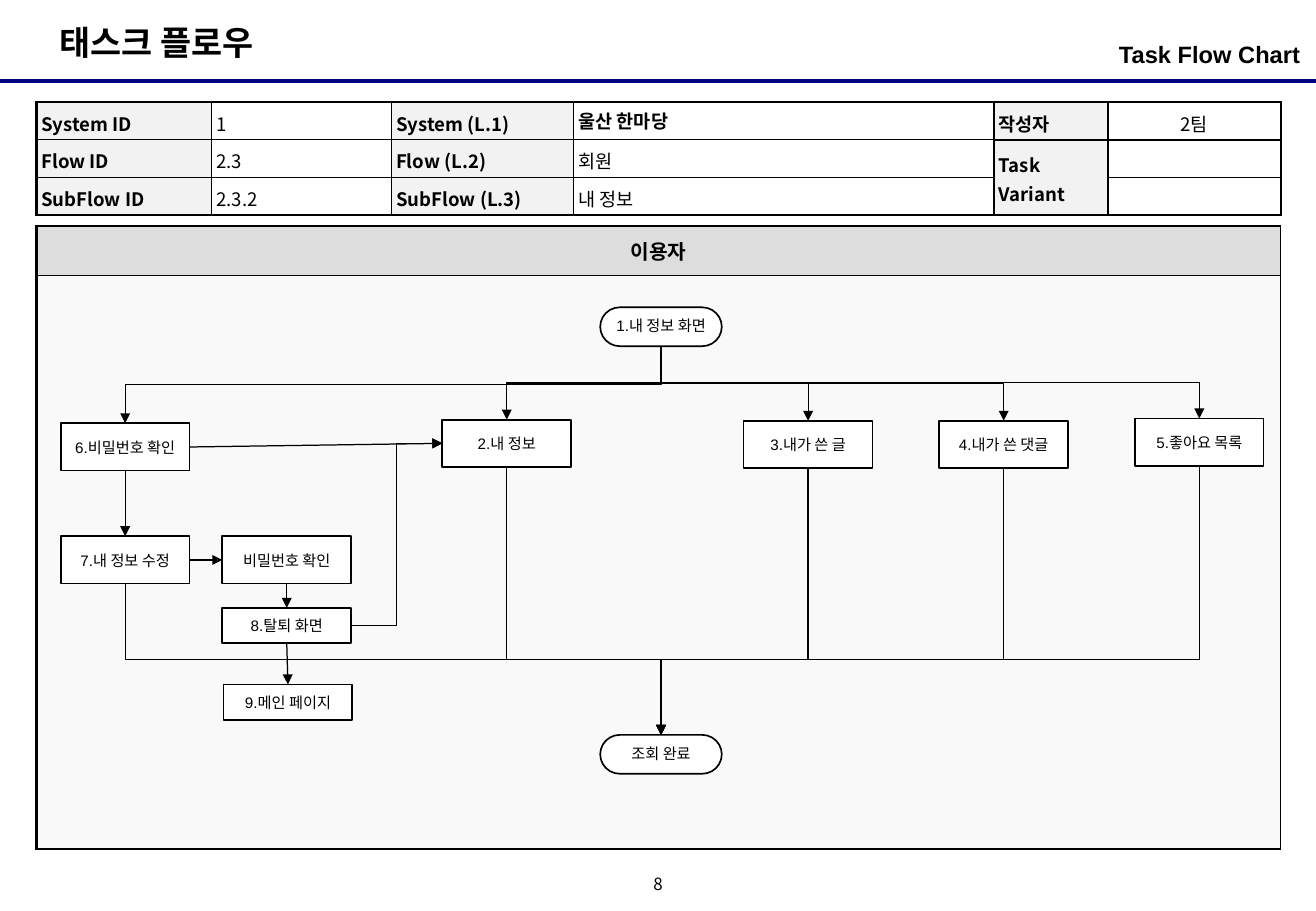
from lxml.etree import SubElement
from pptx import Presentation
from pptx.dml.color import RGBColor
from pptx.enum.shapes import MSO_CONNECTOR, MSO_SHAPE
from pptx.enum.text import MSO_ANCHOR, MSO_AUTO_SIZE, PP_ALIGN
from pptx.oxml.ns import qn
from pptx.util import Inches, Pt

WIDTH, HEIGHT = 10.83, 7.5
KOREAN, LATIN = "Noto Sans CJK KR", "Arial"
BLACK, WHITE, NAVY = "000000", "FFFFFF", "000080"
LABEL_FILL, LANE_HEAD, LANE_FILL = "F2F2F2", "DDDDDD", "F9F9F9"

TITLE, SUBTITLE, PAGE = "태스크 플로우", "Task Flow Chart", "8"
LANE = "이용자"
INFO_COLUMNS = [1.44, 1.48, 1.5, 3.46, 0.94, 1.42]
INFO = [
    ["System ID", "1", "System (L.1)", "울산 한마당", "작성자", "2팀"],
    ["Flow ID", "2.3", "Flow (L.2)", "회원", "Task Variant", ""],
    ["SubFlow ID", "2.3.2", "SubFlow (L.3)", "내 정보", "", ""],
]
LABEL_COLUMNS = (0, 2, 4)

TERMINAL, STEP, SHORT_STEP = (1, 0.32), (1.06, 0.39), (1.06, 0.29)
# step: text, size, centre x, centre y
STEPS = {
    "start": ("1.내 정보 화면", TERMINAL, 5.44, 2.69),
    "end": ("조회 완료", TERMINAL, 5.44, 6.21),
    "info": ("2.내 정보", STEP, 4.17, 3.65),
    "posts": ("3.내가 쓴 글", STEP, 6.65, 3.66),
    "comments": ("4.내가 쓴 댓글", STEP, 8.26, 3.66),
    "likes": ("5.좋아요 목록", STEP, 9.87, 3.64),
    "password": ("6.비밀번호 확인", STEP, 1.03, 3.68),
    "edit": ("7.내 정보 수정", STEP, 1.03, 4.61),
    "recheck": ("비밀번호 확인", STEP, 2.36, 4.61),
    "leave": ("8.탈퇴 화면", SHORT_STEP, 2.36, 5.15),
    "main": ("9.메인 페이지", SHORT_STEP, 2.37, 5.78),
}
TOP, LEFT, BOTTOM, RIGHT = range(4)
STRAIGHT = [
    ("password", BOTTOM, "edit", TOP),
    ("edit", RIGHT, "recheck", LEFT),
    ("recheck", BOTTOM, "leave", TOP),
    ("leave", BOTTOM, "main", TOP),
    ("password", RIGHT, "info", LEFT),
]
FROM_START = ["info", "posts", "comments", "likes", "password"]
TO_END = ["info", "posts", "comments", "likes", "edit"]
MERGE_Y = 5.43


def color(value):
    return RGBColor.from_string(value)


def box(left, top, width, height):
    return [Inches(v) for v in (left, top, width, height)]


def write(frame, text, size, font=KOREAN, bold=False, align=PP_ALIGN.LEFT, spacing=None):
    frame.text = text
    paragraph = frame.paragraphs[0]
    paragraph.alignment = align
    if spacing:
        paragraph.line_spacing = spacing
    for run in paragraph.runs:
        run.font.size, run.font.bold, run.font.name = Pt(size), bold, font
        run.font.color.rgb = color(BLACK)
        SubElement(run.font._element, qn("a:ea"), typeface=KOREAN)
    if not text:
        SubElement(paragraph._p, qn("a:endParaRPr"), sz=str(size * 100))


def set_margins(area, across, down):
    area.margin_left = area.margin_right = Inches(across)
    area.margin_top = area.margin_bottom = Inches(down)


def style_cell(cell, fill, left, top, right, bottom):
    """Fill a cell and set its four border widths in points."""
    cell.fill.solid()
    cell.fill.fore_color.rgb = color(fill)
    properties = cell._tc.get_or_add_tcPr()
    for place, (side, width) in enumerate(zip("LRTB", (left, right, top, bottom))):
        border = SubElement(properties, qn(f"a:ln{side}"), w=str(Pt(width)))
        SubElement(SubElement(border, qn("a:solidFill")), qn("a:srgbClr"), val=BLACK)
        properties.insert(place, border)


def add_grid(slide, left, top, columns, rows):
    frame = slide.shapes.add_table(len(rows), len(columns),
                                   *box(left, top, sum(columns), sum(rows)))
    table = frame.table
    table.first_row = table.horz_banding = False
    for column, width in zip(table.columns, columns):
        column.width = Inches(width)
    for row, height in zip(table.rows, rows):
        row.height = Inches(height)
    return table


def add_line(slide, kind, start, end, width=0.75, hue=BLACK, arrow=True):
    line = slide.shapes.add_connector(kind, *[Inches(v) for v in (*start, *end)])
    line.line.width = Pt(width)
    line.line.color.rgb = color(hue)
    if arrow:
        SubElement(line.line._get_or_add_ln(), qn("a:tailEnd"), type="triangle")
    SubElement(line._element.spPr, qn("a:effectLst"))
    return line


def add_drop(slide, start, end, bend):
    """Elbow arrow that goes down, across at the given share, and down again."""
    (x0, y0), (x1, y1) = start, end
    middle_x, middle_y = (x0 + x1) / 2, (y0 + y1) / 2
    half_w, half_h = (y1 - y0) / 2, abs(x1 - x0) / 2
    turn = -1 if x1 > x0 else 1
    line = add_line(slide, MSO_CONNECTOR.ELBOW,
                    (middle_x - turn * half_w, middle_y - half_h),
                    (middle_x + turn * half_w, middle_y + half_h))
    properties = line._element.spPr
    properties.find(qn("a:xfrm")).set("rot", str((90 if turn > 0 else 270) * 60000))
    guides = properties.find(qn("a:prstGeom")).find(qn("a:avLst"))
    SubElement(guides, qn("a:gd"), name="adj1", fmla=f"val {round(bend * 100000)}")


def side(step, place):
    _, (width, height), x, y = STEPS[step]
    return {TOP: (x, y - height / 2), BOTTOM: (x, y + height / 2),
            LEFT: (x - width / 2, y), RIGHT: (x + width / 2, y)}[place]


def add_heading(slide):
    title, subtitle = slide.placeholders
    for holder, place in ((title, (0.39, 0.13, 1.98, 0.44)),
                          (subtitle, (7.39, 0.28, 3.31, 0.39))):
        holder.left, holder.top, holder.width, holder.height = box(*place)
        holder.text_frame.auto_size = MSO_AUTO_SIZE.NONE
        holder.text_frame.vertical_anchor = MSO_ANCHOR.TOP
    write(title.text_frame, TITLE, 20, bold=True)
    set_margins(subtitle.text_frame, 0, 0.05)
    write(subtitle.text_frame, SUBTITLE, 14, LATIN, True, PP_ALIGN.RIGHT)
    paragraph = subtitle.text_frame.paragraphs[0]._p.get_or_add_pPr()
    paragraph.set("marL", "0")
    paragraph.set("indent", "0")
    SubElement(paragraph, qn("a:buNone"))
    add_line(slide, MSO_CONNECTOR.STRAIGHT, (0, 0.67), (WIDTH, 0.67), 2.25, NAVY, False)
    page = slide.shapes.add_textbox(*box(5.25, 7.17, 0.33, 0.25)).text_frame
    page.word_wrap, page.vertical_anchor = True, MSO_ANCHOR.MIDDLE
    set_margins(page, 0, 0)
    write(page, PAGE, 10, align=PP_ALIGN.CENTER, spacing=0.8)


def add_tables(slide):
    lane = add_grid(slide, 0.3, 1.86, [sum(INFO_COLUMNS)], [0.41, 4.72])
    head, body = lane.cell(0, 0), lane.cell(1, 0)
    head.vertical_anchor = MSO_ANCHOR.MIDDLE
    write(head.text_frame, LANE, 12, bold=True, align=PP_ALIGN.CENTER)
    style_cell(head, LANE_HEAD, 1.5, 1.5, 0.75, 0.75)
    style_cell(body, LANE_FILL, 1.5, 0.75, 0.75, 1.5)

    info = add_grid(slide, 0.3, 0.84, INFO_COLUMNS, [0.31] * len(INFO))
    last_row, last_column = len(INFO) - 1, len(INFO_COLUMNS) - 1
    for r, row in enumerate(INFO):
        for c, text in enumerate(row):
            cell = info.cell(r, c)
            label, system_name = c in LABEL_COLUMNS, (r, c) == (0, 3)
            set_margins(cell, 0.04, 0.04)
            cell.vertical_anchor = MSO_ANCHOR.MIDDLE if c >= 4 else MSO_ANCHOR.TOP
            write(cell.text_frame, text, 11, bold=label or system_name,
                  align=PP_ALIGN.CENTER if c == last_column else PP_ALIGN.LEFT,
                  spacing=None if system_name else 1.1)
            style_cell(cell, LABEL_FILL if label else WHITE,
                       1.5 if c == 0 else 1,
                       1.5 if r == 0 or (r == 1 and c >= 4) else 1,
                       1.5 if c == last_column else 1,
                       1.5 if r == last_row or (r == 0 and c >= 4) else 1)
    info.cell(1, 4).merge(info.cell(2, 4))


def add_flow(slide):
    drawn = {}
    for step, (text, size, x, y) in STEPS.items():
        kind = MSO_SHAPE.FLOWCHART_TERMINATOR if size == TERMINAL else MSO_SHAPE.RECTANGLE
        shape = slide.shapes.add_shape(kind, *box(x - size[0] / 2, y - size[1] / 2, *size))
        shape.shadow.inherit = False
        shape.fill.solid()
        shape.fill.fore_color.rgb = color(WHITE)
        shape.line.color.rgb = color(BLACK)
        shape.line.width = Pt(1)
        shape.text_frame.vertical_anchor = MSO_ANCHOR.MIDDLE
        set_margins(shape.text_frame, 0.02, 0)
        write(shape.text_frame, text, 9, LATIN, align=PP_ALIGN.CENTER,
              spacing=0.9 if size == TERMINAL else None)
        drawn[step] = shape
    for source, leaving, target, entering in STRAIGHT:
        line = add_line(slide, MSO_CONNECTOR.STRAIGHT, side(source, leaving), side(target, entering))
        line.begin_connect(drawn[source], leaving)
        line.end_connect(drawn[target], entering)
    for step in FROM_START:
        add_drop(slide, side("start", BOTTOM), side(step, TOP), 0.5)
    for step in TO_END:
        start, end = side(step, BOTTOM), side("end", TOP)
        add_drop(slide, start, end, (MERGE_Y - start[1]) / (end[1] - start[1]))
    add_line(slide, MSO_CONNECTOR.ELBOW, side("leave", RIGHT), side("info", LEFT))


def main():
    deck = Presentation()
    deck.slide_width, deck.slide_height = Inches(WIDTH), Inches(HEIGHT)
    slide = deck.slides.add_slide(deck.slide_layouts[1])
    add_heading(slide)
    add_tables(slide)
    add_flow(slide)
    deck.save("out.pptx")


if __name__ == "__main__":
    main()
